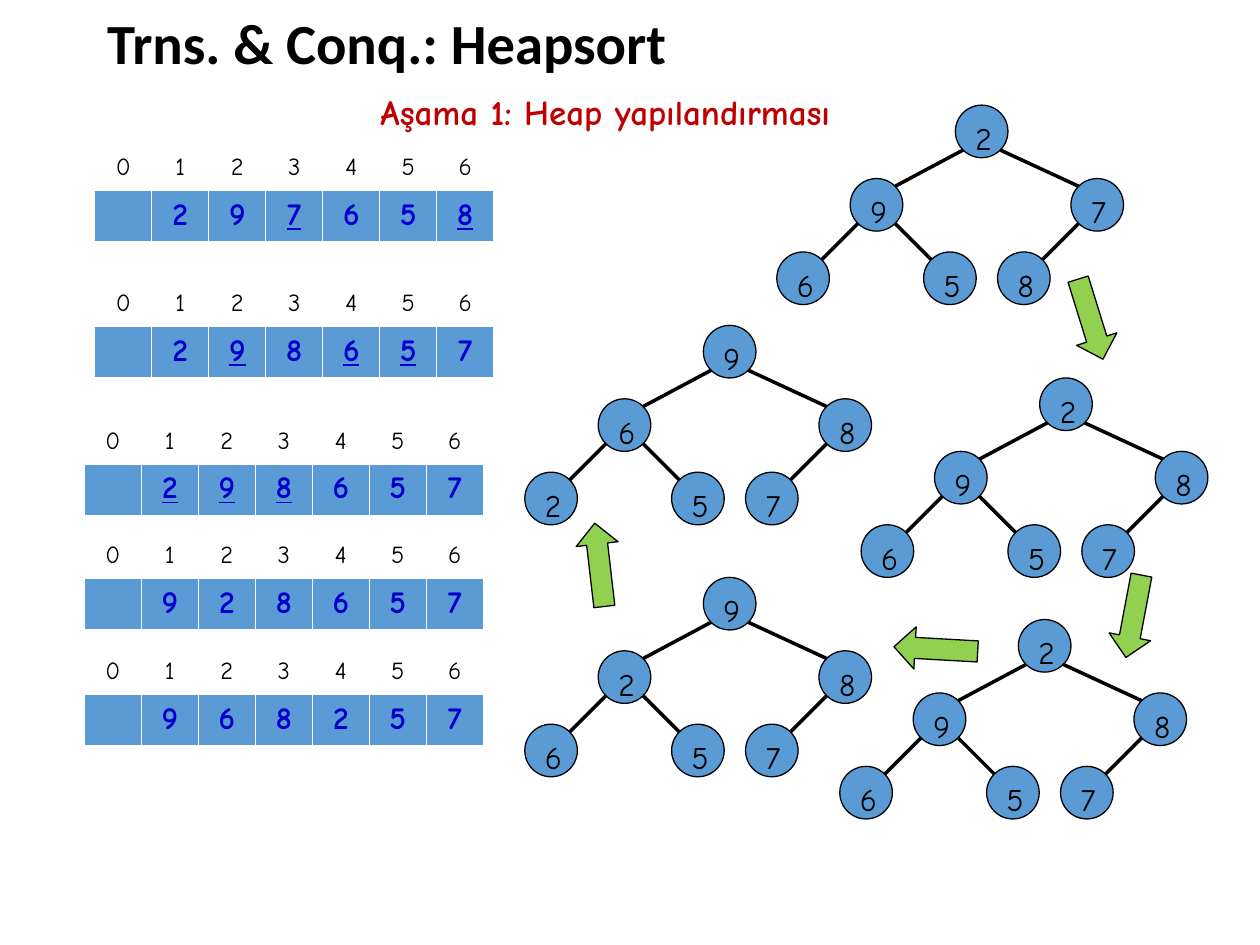
import math

from lxml import etree
from pptx import Presentation
from pptx.dml.color import RGBColor
from pptx.enum import shapes, text
from pptx.oxml.ns import qn
from pptx.util import Cm, Pt

TITLE = "Trns. & Conq.: Heapsort"
SUBTITLE = "Aşama 1: Heap yapılandırması"

# Lengths are in centimetres. Heap values are listed from index 1.
STEPS = [
    {"heap": "297658", "compared": (3, 6), "table": (1.91, 3.84), "root": (19.26, 2.12)},
    {"heap": "298657", "compared": (2, 4, 5), "table": (1.91, 6.58), "root": (20.96, 7.62)},
    {"heap": "298657", "compared": (1, 2, 3), "table": (1.7, 9.35), "root": (20.53, 12.49)},
    {"heap": "928657", "compared": (), "table": (1.7, 11.66), "root": (14.18, 11.64)},
    {"heap": "968257", "compared": (), "table": (1.7, 14), "root": (14.18, 6.56)},
]
ARROWS = [  # left, top, rotation
    (21.56, 5.59, 342.8),
    (22.43, 11.58, 10.7),
    (18.44, 12.24, 93.2),
    (11.66, 10.54, 173.4),
]
ARROW_SIZE = (0.85, 1.69)

NODE = 1.06
NODE_OFFSETS = [(0, 0), (-2.12, 1.48), (2.33, 1.48), (-3.6, 2.96), (-0.64, 2.96), (0.85, 2.96)]
COLUMN = 1.15
VALUE_ROW, INDEX_ROW = 1.04, 0.64
INDEX_RISE = 0.87

THEME = {
    "title_font": "Calibri", "font": "Comic Neue",
    "title_size": 32.4, "subtitle_size": 20, "value_size": 18, "index_size": 14,
    "ink": "000000", "subtitle": "C00000", "value": "0000CC",
    "cell": "5B9BD5", "paper": "FFFFFF", "arrow": "92D050",
    "outline": 0.75, "edge": 2,
}


def color(name):
    return RGBColor.from_string(THEME[name])


def add_span(para, words, size, ink="ink", font="font", bold=False, underline=False):
    span = para.add_run()
    span.text = words
    span.font.name = THEME[font]
    span.font.size = Pt(THEME[size])
    span.font.color.rgb = color(ink)
    span.font.bold = bold
    span.font.underline = underline


def add_box(page, left, top, width, height):
    return page.shapes.add_textbox(Cm(left), Cm(top), Cm(width), Cm(height)).text_frame


def add_headings(page):
    frame = add_box(page, 1.91, 0.2, 19.08, 1.47)
    frame.word_wrap = True
    frame.vertical_anchor = text.MSO_ANCHOR.MIDDLE
    frame.paragraphs[0].line_spacing = 0.9
    add_span(frame.paragraphs[0], TITLE, "title_size", font="title_font", bold=True)

    frame = add_box(page, 7.42, 1.7, 10.92, 1.12)
    frame.word_wrap = False
    frame.auto_size = text.MSO_AUTO_SIZE.SHAPE_TO_FIT_TEXT
    add_span(frame.paragraphs[0], SUBTITLE, "subtitle_size", "subtitle", bold=True)


def add_row(page, left, top, height, labels, fill, underlined=(), **style):
    """Add a one-row table; an empty label leaves its cell blank."""
    table = page.shapes.add_table(
        1, len(labels), Cm(left), Cm(top), Cm(COLUMN * len(labels)), Cm(height)).table
    table.horz_banding = False
    for index, label in enumerate(labels):
        table.columns[index].width = Cm(COLUMN)
        cell = table.cell(0, index)
        cell.fill.solid()
        cell.fill.fore_color.rgb = color(fill)
        if label:
            para = cell.text_frame.paragraphs[0]
            para.alignment = text.PP_ALIGN.CENTER
            add_span(para, label, underline=index in underlined, **style)


def add_array(page, step):
    left, top = step["table"]
    labels = ["", *step["heap"]]
    add_row(page, left, top, VALUE_ROW, labels, "cell", step["compared"],
            size="value_size", ink="value", bold=True)
    add_row(page, left, top - INDEX_RISE, INDEX_ROW,
            [str(index) for index in range(len(labels))], "paper", size="index_size")


def add_solid(page, kind, left, top, width, height, fill):
    shape = page.shapes.add_shape(kind, Cm(left), Cm(top), Cm(width), Cm(height))
    shape.shadow.inherit = False
    shape.fill.solid()
    shape.fill.fore_color.rgb = color(fill)
    shape.line.color.rgb = color("ink")
    shape.line.width = Pt(THEME["outline"])
    return shape


def add_edge(page, parent, child, side):
    """Join two nodes at their diagonal points; side is -1 for a left child, 1 for a right one."""
    center, reach = NODE / 2, NODE / 2 * math.cos(math.pi / 4)
    edge = page.shapes.add_connector(
        shapes.MSO_CONNECTOR.STRAIGHT,
        Cm(parent[0] + center + side * reach), Cm(parent[1] + center + reach),
        Cm(child[0] + center - side * reach), Cm(child[1] + center - reach))
    edge.line.color.rgb = color("ink")
    edge.line.width = Pt(THEME["edge"])
    etree.SubElement(edge._element.spPr, qn("a:effectLst"))


def add_tree(page, step):
    left, top = step["root"]
    spots = [(left + dx, top + dy) for dx, dy in NODE_OFFSETS]
    for spot, value in zip(spots, step["heap"]):
        node = add_solid(page, shapes.MSO_SHAPE.OVAL, *spot, NODE, NODE, "cell")
        frame = node.text_frame
        frame.vertical_anchor = text.MSO_ANCHOR.TOP
        frame.paragraphs[0].alignment = text.PP_ALIGN.LEFT
        add_span(frame.paragraphs[0], value, "value_size")
    for index in range(1, len(spots)):
        add_edge(page, spots[(index - 1) // 2], spots[index], -1 if index % 2 else 1)


def main():
    deck = Presentation()
    deck.slide_width, deck.slide_height = Cm(25.4), Cm(19.05)
    page = deck.slides.add_slide(deck.slide_layouts[6])
    add_headings(page)
    for step in STEPS:
        add_array(page, step)
        add_tree(page, step)
    for left, top, rotation in ARROWS:
        arrow = add_solid(page, shapes.MSO_SHAPE.DOWN_ARROW, left, top, *ARROW_SIZE, "arrow")
        arrow.rotation = rotation
    deck.save("out.pptx")


if __name__ == "__main__":
    main()
